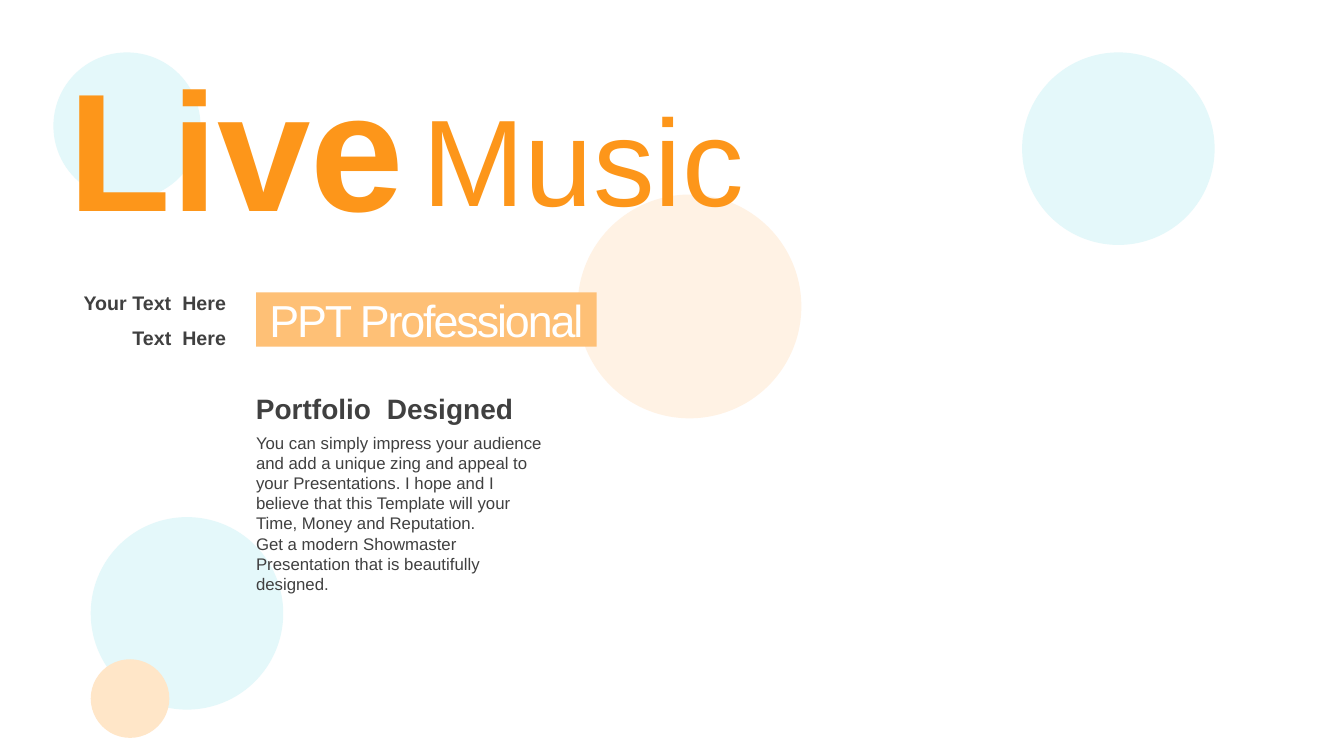
from lxml.etree import SubElement
from pptx import Presentation
from pptx.dml.color import RGBColor
from pptx.enum.shapes import MSO_SHAPE as SHAPE
from pptx.enum.text import MSO_ANCHOR as ANCHOR, PP_ALIGN as ALIGN
from pptx.oxml.ns import qn
from pptx.util import Inches, Pt

COLS, ROWS = 40, 22.5
CELL = Inches(1 / 3)

WHITE = RGBColor(0xFF, 0xFF, 0xFF)
GRAY = RGBColor(0x40, 0x40, 0x40)
ORANGE = RGBColor(0xFD, 0x96, 0x1A)
AMBER = RGBColor(0xFE, 0xC0, 0x76)
PEACH = RGBColor(0xFF, 0xE6, 0xC8)
CREAM = RGBColor(0xFF, 0xF2, 0xE4)
AQUA = RGBColor(0xE4, 0xF8, 0xFA)


def grid(*cells):
    return [int(n * CELL) for n in cells]


def write(sp, *paragraphs, size, color=GRAY, bold=False, align=ALIGN.LEFT,
          anchor=ANCHOR.TOP, spacing=0, leading=None, wide_gap=False,
          font="Arial", insets=(0.1, 0.05)):
    """Fill a shape with paragraphs; wide_gap doubles the last space."""
    tf = sp.text_frame
    tf.word_wrap = True
    tf.vertical_anchor = anchor
    tf.margin_left = tf.margin_right = Inches(insets[0])
    tf.margin_top = tf.margin_bottom = Inches(insets[1])
    for i, text in enumerate(paragraphs):
        p = tf.paragraphs[0] if i == 0 else tf.add_paragraph()
        pPr = p._p.get_or_add_pPr()
        pPr.set("marL", "0")
        pPr.set("indent", "0")
        SubElement(pPr, qn("a:buNone"))
        p.alignment = align
        p.space_before = Pt(0)
        p.line_spacing = leading
        parts = text.rpartition(" ") if wide_gap else [text]
        for part in parts:
            r = p.add_run()
            r.text = part
            r.font.name, r.font.size, r.font.bold = font, Pt(size), bold
            r.font.color.rgb = color
            tracking = 0.28 * size if part == " " else spacing
            if tracking:
                r.font._element.set("spc", str(round(tracking * 100)))


class Deck:
    def __init__(self):
        self.prs = Presentation()
        self.prs.slide_width, self.prs.slide_height = grid(COLS, ROWS)
        self.s = self.prs.slides.add_slide(self.prs.slide_layouts[1])

    def shape(self, kind, at, fill):
        sp = self.s.shapes.add_shape(kind, *grid(*at))
        sp.shadow.inherit = False
        sp.fill.solid()
        sp.fill.fore_color.rgb = fill
        sp.line.fill.background()
        return sp

    def circle(self, x, y, diameter, fill):
        self.shape(SHAPE.OVAL, (x, y, diameter, diameter), fill)

    def banner(self, text, at, fill, **style):
        write(self.shape(SHAPE.RECTANGLE, at, fill), text, **style)

    def text(self, text, at, **style):
        write(self.s.shapes.add_textbox(*grid(*at)), text, **style)

    def placeholder(self, idx, paragraphs, at, **style):
        """Place a template placeholder in front of all earlier shapes."""
        sp = self.s.placeholders[idx]
        sp.left, sp.top, sp.width, sp.height = grid(*at)
        self.s.shapes.element.append(sp.element)
        write(sp, *paragraphs, **style)


def main():
    deck = Deck()
    for circle in (
        (30.42, 1.56, 5.73, AQUA),
        (17.19, 5.79, 6.66, CREAM),
        (2.7, 15.39, 5.73, AQUA),
        (1.59, 1.56, 4.38, AQUA),
        (2.7, 19.62, 2.34, PEACH),
    ):
        deck.circle(*circle)

    deck.banner("PPT Professional", (7.62, 8.7, 10.14, 1.62), AMBER,
                size=32, color=WHITE, align=ALIGN.CENTER,
                anchor=ANCHOR.MIDDLE, spacing=-1.5, insets=(0.04, 0))

    label_height = 1.02
    for i, label in enumerate(("Your Text Here", "Text Here")):
        deck.text(label, (1.05, 8.52 + i * label_height, 5.97, label_height),
                  size=14, bold=True, align=ALIGN.RIGHT, wide_gap=True)

    column_x, column_width = 7.32, 9.27
    deck.text("Portfolio Designed", (column_x, 11.52, column_width, 1.17),
              size=20, bold=True, anchor=ANCHOR.MIDDLE, leading=1.1,
              wide_gap=True)
    deck.placeholder(1, (
        "You can simply impress your audience and add a unique zing and "
        "appeal to your Presentations. I hope and I believe that this "
        "Template will your Time, Money and Reputation.",
        "Get a modern Showmaster Presentation that is beautifully designed.",
    ), (column_x, 12.72, column_width, 5.16), size=12)

    deck.text("Music", (12.27, 2.31, 12.42, 4.74), size=88, color=ORANGE,
              anchor=ANCHOR.MIDDLE)
    deck.placeholder(0, ["Live"], (1.74, 1.11, 12.42, 6.36), size=120,
                     color=ORANGE, bold=True, anchor=ANCHOR.MIDDLE)

    deck.prs.save("out.pptx")


if __name__ == "__main__":
    main()
